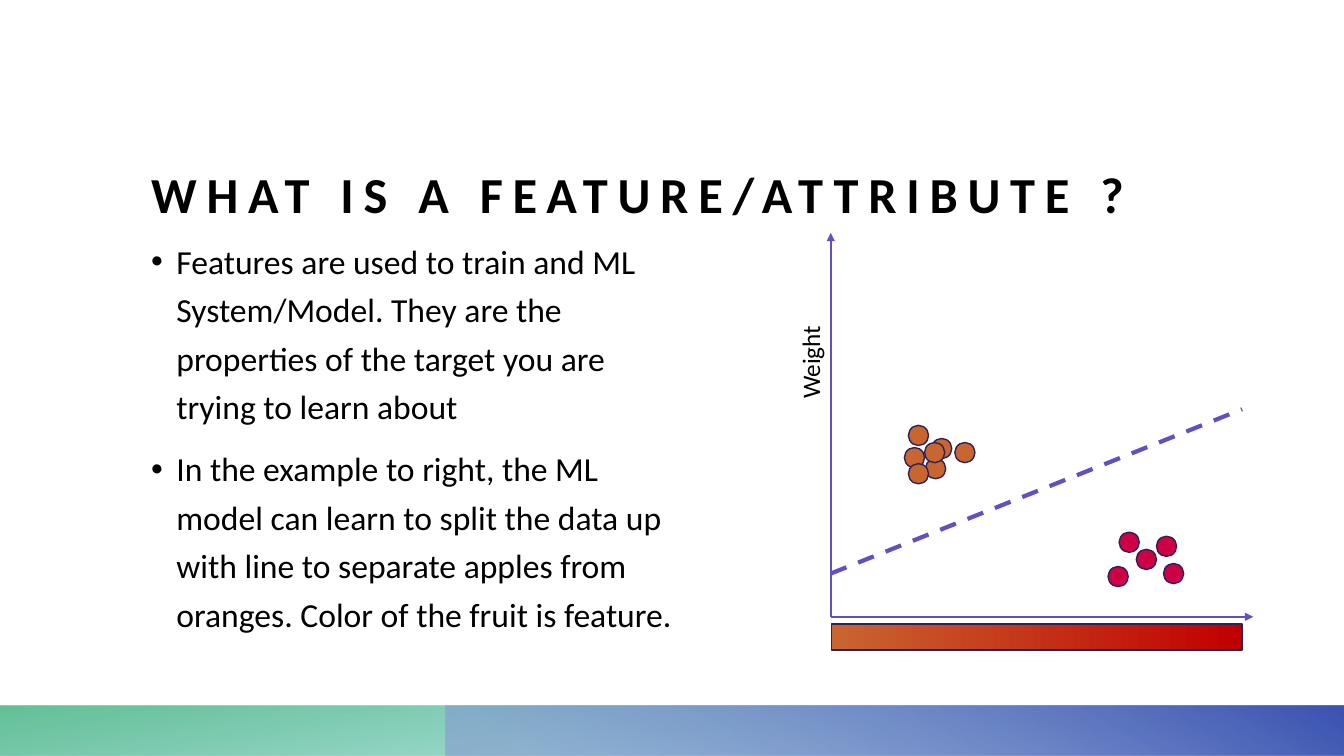
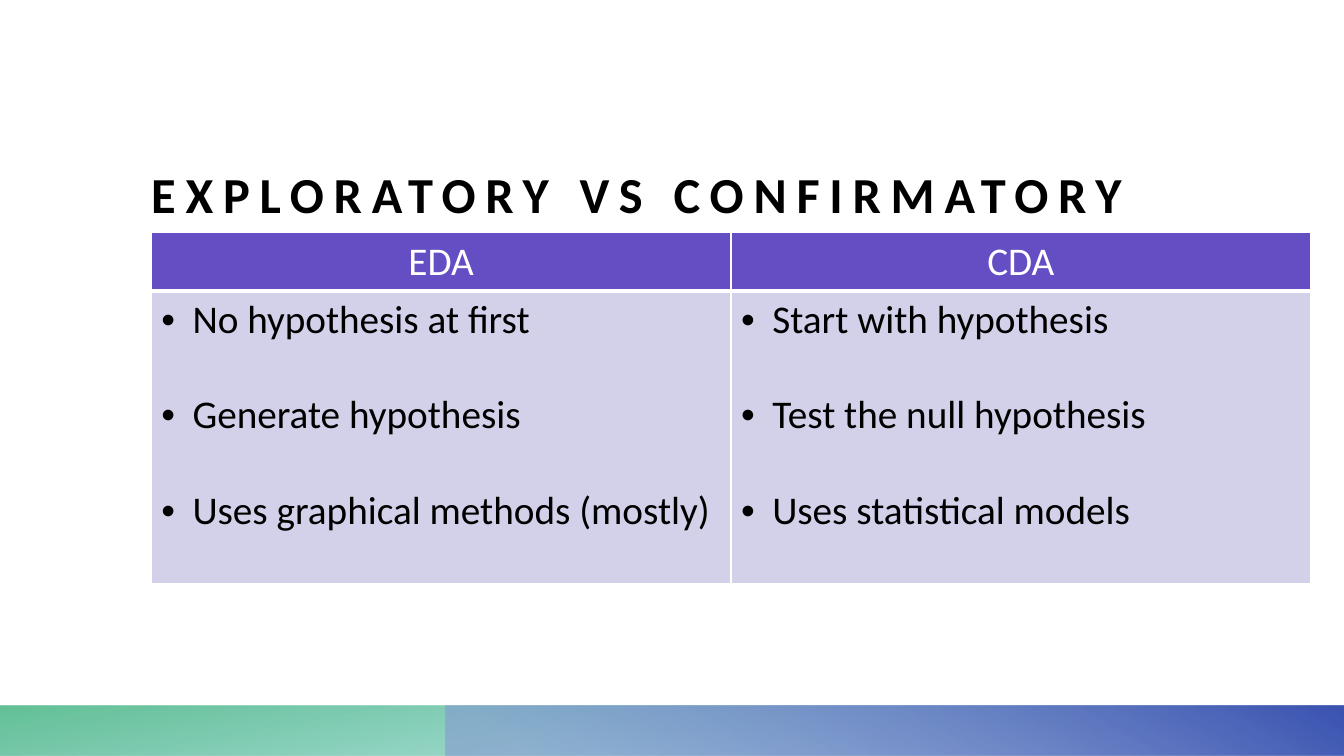
from pptx import Presentation
from pptx import util as u
from pptx.dml import color as col
from pptx.enum import dml, shapes, text
from pptx.oxml import parse_xml
from pptx.oxml import ns

FONT = "Calibri"
BLACK, WHITE = "000000", "FFFFFF"
PURPLE, PALE, NAVY = "654DC3", "D3D0E9", "2C2255"
ORANGE, APPLE, RED = "C96530", "CE0045", "C00000"
LEFT, TOP = 1.5, 2.31
DOT = 0.2
AXIS_X, AXIS_Y = 8.24, 6.12

POINTS = [
    (ORANGE, [(9.01, 4.22), (8.97, 4.44), (9.18, 4.55), (9.24, 4.35),
              (9.01, 4.6), (9.17, 4.39), (9.47, 4.39)]),
    (APPLE, [(11.1, 5.28), (11.27, 5.45), (10.99, 5.62),
             (11.54, 5.59), (11.47, 5.32)]),
]
NOTES = [
    "Features are used to train and ML System/Model. They are the "
    "properties of the target you are trying to learn about",
    "In the example to right, the ML model can learn to split the data up "
    "with line to separate apples from oranges. Color of the fruit is feature.",
]
COLUMNS = {
    "EDA": ["No hypothesis at first", "Generate hypothesis",
            "Uses graphical methods (mostly)"],
    "CDA": ["Start with hypothesis", "Test the null hypothesis",
            "Uses statistical models"],
}


def rgb(code):
    return col.RGBColor.from_string(code)


def inches(*sizes):
    return [u.Inches(size) for size in sizes]


def node(tag, inner="", **attrs):
    pairs = "".join(f' {key}="{val}"' for key, val in attrs.items())
    return parse_xml(f'<a:{tag} {ns.nsdecls("a")}{pairs}>{inner}</a:{tag}>')


def style(par, size, color=BLACK, bold=False):
    for run in par.runs:
        run.font.name = FONT
        run.font.size = u.Pt(size)
        run.font.bold = bold
        run.font.color.rgb = rgb(color)


def pad(frame):
    frame.margin_left = frame.margin_right = 0
    frame.margin_top = frame.margin_bottom = 0
    frame.word_wrap = True
    frame.auto_size = text.MSO_AUTO_SIZE.NONE


def bullets(frame, items, size, indent, gap):
    frame.text = "\n".join(items)
    for num, par in enumerate(frame.paragraphs):
        props = par._p.get_or_add_pPr()
        props.set("marL", str(u.Inches(indent)))
        props.set("indent", str(-u.Inches(indent)))
        props.append(node("buFont", typeface="Arial"))
        props.append(node("buChar", char="•"))
        if num:
            par.space_before = u.Pt(gap)
        style(par, size)


def shape(slide, kind, box, fill=None, edge=None):
    item = slide.shapes.add_shape(kind, *inches(*box))
    item.shadow.inherit = False
    if fill:
        item.fill.solid()
        item.fill.fore_color.rgb = rgb(fill)
    if edge:
        item.line.color.rgb = rgb(edge)
        item.line.width = u.Pt(1)
    else:
        item.line.fill.background()
    return item


def blend(slide, box, stops, angle, edge=None):
    item = shape(slide, shapes.MSO_SHAPE.RECTANGLE, box, edge=edge)
    item.fill.gradient()
    item.fill.gradient_angle = angle
    for stop, (place, color, _) in zip(item.fill.gradient_stops, stops):
        stop.position = place
        stop.color.rgb = rgb(color)
    tints = item._element.xpath(".//a:gs/a:srgbClr")
    for tint, (_, _, alpha) in zip(tints, stops):
        if alpha < 100:
            tint.append(node("alpha", val=alpha * 1000))


def line(slide, start, end, width, arrow=False, dash=False):
    item = slide.shapes.add_connector(
        shapes.MSO_CONNECTOR.STRAIGHT, *inches(*start, *end))
    item.line.color.rgb = rgb(PURPLE)
    item.line.width = u.Pt(width)
    if dash:
        item.line.dash_style = dml.MSO_LINE.DASH
    if arrow:
        item.line._get_or_add_ln().append(node("tailEnd", type="triangle"))
    item._element.spPr.append(node("effectLst"))


def page(deck, title):
    slide = deck.slides.add_slide(deck.slide_layouts[5])
    blend(slide, (0, 7, 13.33, 0.5),
          [(0.14, "3BB1AC", 28), (1, "48B683", 85)], 100)
    blend(slide, (4.42, 7, 8.92, 0.5),
          [(0.09, "8495D6", 55), (0.99, "3B54B1", 100)], 60)
    head = slide.shapes.title
    head.left, head.top, head.width, head.height = inches(LEFT, 0.87, 11.2, 1.35)
    frame = head.text_frame
    frame.text = title
    pad(frame)
    frame.vertical_anchor = text.MSO_ANCHOR.BOTTOM
    par = frame.paragraphs[0]
    par.alignment = text.PP_ALIGN.LEFT
    style(par, 36, bold=True)
    par.runs[0].font._element.set("spc", "700")
    return slide


def notes(slide):
    box = slide.shapes.add_textbox(*inches(LEFT, TOP, 5.17, 4.33))
    pad(box.text_frame)
    bullets(box.text_frame, NOTES, 24, 0.25, 10)
    for par in box.text_frame.paragraphs:
        par.line_spacing = 1.2
        par.space_before = u.Pt(10)


def plot(slide):
    start = (AXIS_X, AXIS_Y)
    for end in [(AXIS_X, TOP), (12.43, AXIS_Y)]:
        line(slide, start, end, 1.5, arrow=True)
    for color, spots in POINTS:
        for left, top in spots:
            shape(slide, shapes.MSO_SHAPE.OVAL, (left, top, DOT, DOT), color, NAVY)
    label = slide.shapes.add_textbox(*inches(7.57, 3.39, 0.93, 0.4))
    label.rotation = 270
    label.text_frame.text = "Weight"
    label.text_frame.word_wrap = False
    style(label.text_frame.paragraphs[0], 18)
    line(slide, (AXIS_X, 5.69), (12.32, 4.06), 3, dash=True)
    blend(slide, (8.25, 6.19, 4.07, 0.26),
          [(0, ORANGE, 100), (1, RED, 100)], 0, NAVY)


def paint(cell, fill, widths):
    props = cell._tc.get_or_add_tcPr()
    ink = f'<a:solidFill><a:srgbClr val="{WHITE}"/></a:solidFill>'
    for side, width in zip("LRTB", widths):
        props.append(node("ln" + side, ink, w=u.Pt(width)))
    cell.fill.solid()
    cell.fill.fore_color.rgb = rgb(fill)


def grid(slide):
    table = slide.shapes.add_table(
        2, len(COLUMNS), *inches(LEFT, TOP, 11.5, 3.47)).table
    for row, height in zip(table.rows, inches(0.57, 2.9)):
        row.height = height
    for num, (name, items) in enumerate(COLUMNS.items()):
        head, body = table.cell(0, num), table.cell(1, num)
        paint(head, PURPLE, (1, 1, 1, 3))
        paint(body, PALE, (1, 1, 3, 1))
        head.text_frame.text = name
        par = head.text_frame.paragraphs[0]
        par.alignment = text.PP_ALIGN.CENTER
        style(par, 28, WHITE)
        bullets(body.text_frame, items, 28, 0.31, 34)


def main():
    deck = Presentation()
    deck.slide_width, deck.slide_height = inches(13.33, 7.5)
    first = page(deck, "WHAT IS A FEATURE/ATTRIBUTE ?")
    notes(first)
    plot(first)
    grid(page(deck, "EXPLORATORY VS CONFIRMATORY"))
    deck.save("out.pptx")


if __name__ == "__main__":
    main()
